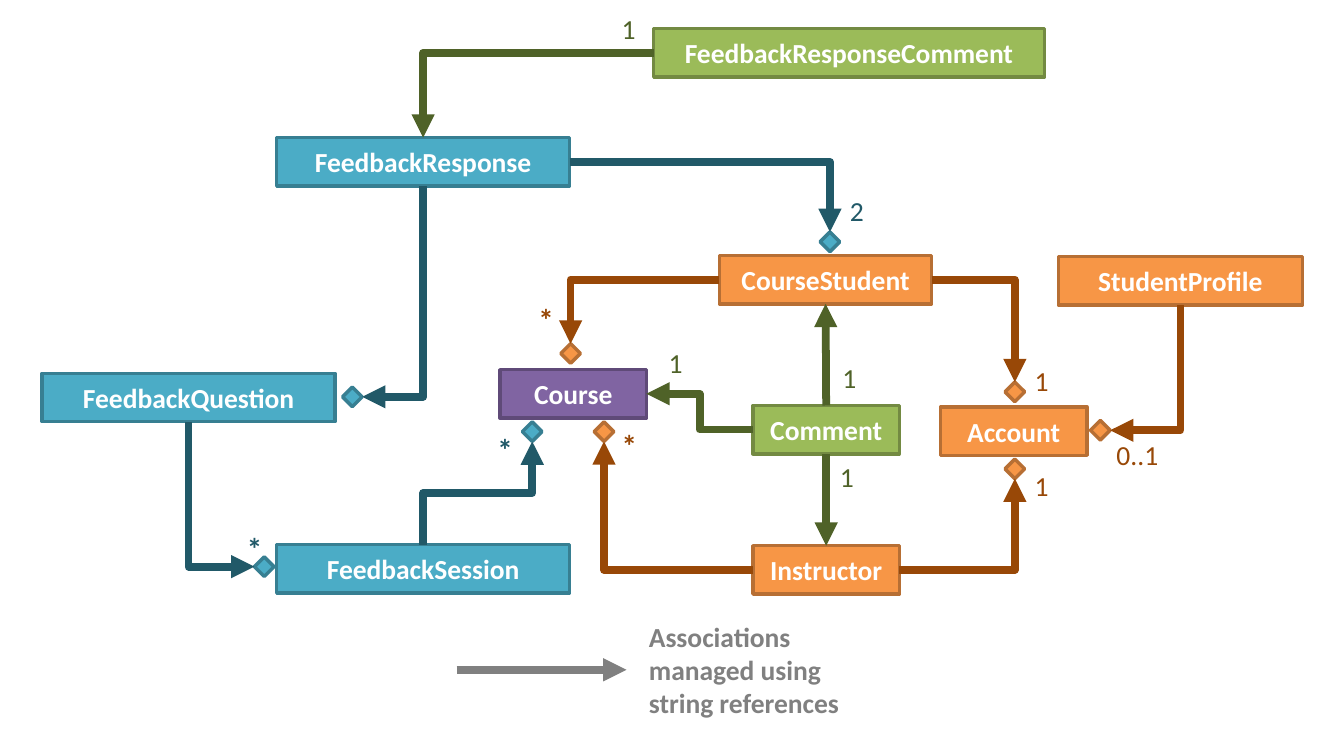
from lxml import etree
from pptx import Presentation
from pptx.dml.color import RGBColor
from pptx.enum.shapes import MSO_CONNECTOR, MSO_SHAPE
from pptx.enum.text import MSO_ANCHOR, PP_ALIGN
from pptx.oxml.ns import qn
from pptx.util import Pt

RECT, DIAMOND = MSO_SHAPE.RECTANGLE, MSO_SHAPE.DIAMOND
STRAIGHT, ELBOW = MSO_CONNECTOR.STRAIGHT, MSO_CONNECTOR.ELBOW
MIDDLE = MSO_ANCHOR.MIDDLE
LEFT, CENTER = PP_ALIGN.LEFT, PP_ALIGN.CENTER
SITE_TOP, SITE_LEFT, SITE_BOTTOM, SITE_RIGHT = range(4)

WHITE = RGBColor(0xFF, 0xFF, 0xFF)
GRAY = RGBColor(0x80, 0x80, 0x80)
ORANGE = RGBColor(0xF7, 0x96, 0x46)
ORANGE_EDGE = RGBColor(0xB7, 0x6F, 0x34)
ORANGE_DARK = RGBColor(0x98, 0x48, 0x07)
BLUE = RGBColor(0x4B, 0xAC, 0xC6)
BLUE_EDGE = RGBColor(0x37, 0x7F, 0x92)
BLUE_DARK = RGBColor(0x21, 0x59, 0x68)
GREEN = RGBColor(0x9B, 0xBB, 0x59)
GREEN_EDGE = RGBColor(0x73, 0x8A, 0x42)
GREEN_DARK = RGBColor(0x4F, 0x62, 0x28)
PURPLE = RGBColor(0x80, 0x64, 0xA2)
PURPLE_EDGE = RGBColor(0x5F, 0x4A, 0x78)

FONT = "Calibri"
BOX_H = 28.1
DIAMOND_SIZE = 11.4

ENTITIES = [
    ("CourseStudent", 417.6, 148.3, 123.1, ORANGE, ORANGE_EDGE),
    ("Course", 290.2, 214.6, 85, PURPLE, PURPLE_EDGE),
    ("Account", 545.8, 236.2, 85, ORANGE, ORANGE_EDGE),
    ("FeedbackSession", 160.6, 316.1, 170, BLUE, BLUE_EDGE),
    ("FeedbackQuestion", 24.5, 216.7, 170, BLUE, BLUE_EDGE),
    ("FeedbackResponse", 160.6, 79.9, 170, BLUE, BLUE_EDGE),
    ("Comment", 437, 235.4, 85, GREEN, GREEN_EDGE),
    ("FeedbackResponseComment", 379.4, 16.6, 226.8, GREEN, GREEN_EDGE),
    ("StudentProfile", 614.2, 149, 141.8, ORANGE, ORANGE_EDGE),
    ("Instructor", 437, 316.8, 85, ORANGE, ORANGE_EDGE),
]

DIAMONDS = [
    ("student-course", 331.2, 205.2, ORANGE, ORANGE_EDGE),
    ("instructor-course", 350.6, 250.6, ORANGE, ORANGE_EDGE),
    ("session-course", 308.9, 250.6, BLUE, BLUE_EDGE),
    ("student-account", 589, 227.5, ORANGE, ORANGE_EDGE),
    ("instructor-account", 589, 272.2, ORANGE, ORANGE_EDGE),
    ("profile-account", 638.6, 249.8, ORANGE, ORANGE_EDGE),
    ("question-session", 153.4, 329, BLUE, BLUE_EDGE),
    ("response-question", 204.5, 230.4, BLUE, BLUE_EDGE),
    ("response-student", 481.7, 140.4, BLUE, BLUE_EDGE),
]

CORNERS_TO_TARGET = [
    ("FeedbackResponseComment", SITE_LEFT, "FeedbackResponse", SITE_TOP, GREEN_DARK),
    ("FeedbackResponse", SITE_RIGHT, "response-student", SITE_TOP, BLUE_DARK),
    ("CourseStudent", SITE_LEFT, "student-course", SITE_TOP, ORANGE_DARK),
    ("CourseStudent", SITE_RIGHT, "student-account", SITE_TOP, ORANGE_DARK),
    ("Instructor", SITE_LEFT, "instructor-course", SITE_BOTTOM, ORANGE_DARK),
    ("Instructor", SITE_RIGHT, "instructor-account", SITE_BOTTOM, ORANGE_DARK),
]

CORNERS_FROM_TARGET = [
    ("response-question", SITE_RIGHT, "FeedbackResponse", SITE_BOTTOM, BLUE_DARK),
    ("question-session", SITE_LEFT, "FeedbackQuestion", SITE_BOTTOM, BLUE_DARK),
    ("profile-account", SITE_RIGHT, "StudentProfile", SITE_BOTTOM, ORANGE_DARK),
]

STRAIGHT_LINKS = [
    ("Comment", SITE_TOP, "CourseStudent", SITE_BOTTOM, GREEN_DARK),
    ("Comment", SITE_BOTTOM, "Instructor", SITE_TOP, GREEN_DARK),
]

MULTIPLICITIES = [
    ("1", 360.7, 8.6, GREEN_DARK),
    ("2", 493.2, 114.5, BLUE_DARK),
    ("*", 312.5, 177.1, ORANGE_DARK),
    ("1", 388.1, 202.3, GREEN_DARK),
    ("1", 488.9, 211.3, GREEN_DARK),
    ("1", 487.4, 268.6, GREEN_DARK),
    ("*", 360.7, 250.6, ORANGE_DARK),
    ("*", 288.7, 252.7, BLUE_DARK),
    ("*", 143.3, 310.3, BLUE_DARK),
    ("1", 600.5, 213.1, ORANGE_DARK),
    ("1", 600.5, 273.6, ORANGE_DARK),
    ("0..1", 648, 255.6, ORANGE_DARK),
]


def write_text(s, text, color, size=16, bold=False, align=LEFT):
    tf = s.text_frame
    tf.word_wrap = True
    tf.vertical_anchor = MIDDLE
    tf.margin_left = tf.margin_right = tf.margin_top = tf.margin_bottom = 0
    p = tf.paragraphs[0]
    p.alignment = align
    r = p.add_run()
    r.text = text
    r.font.name = FONT
    r.font.size = Pt(size)
    r.font.bold = bold
    r.font.color.rgb = color


def add_filled(shapes, kind, x, y, w, h, fill, edge):
    s = shapes.add_shape(kind, Pt(x), Pt(y), Pt(w), Pt(h))
    s.shadow.inherit = False
    s.fill.solid()
    s.fill.fore_color.rgb = fill
    s.line.color.rgb = edge
    s.line.width = Pt(2)
    return s


def add_entity(shapes, name, x, y, w, fill, edge):
    s = add_filled(shapes, RECT, x, y, w, BOX_H, fill, edge)
    write_text(s, name, WHITE, bold=True, align=CENTER)
    return s


def add_diamond(shapes, cx, cy, fill, edge):
    half = DIAMOND_SIZE / 2
    return add_filled(shapes, DIAMOND, cx - half, cy - half,
                      DIAMOND_SIZE, DIAMOND_SIZE, fill, edge)


def add_label(shapes, text, x, y, w, h, color, **fmt):
    s = shapes.add_textbox(Pt(x), Pt(y), Pt(w), Pt(h))
    write_text(s, text, color, **fmt)


def add_arrow(shapes, kind, color, points=(0, 0, 0, 0), arrow="tailEnd"):
    cxn = shapes.add_connector(kind, *[Pt(v) for v in points])
    cxn.line.color.rgb = color
    cxn.line.width = Pt(4.5)
    sp_pr = cxn._element.spPr
    etree.SubElement(sp_pr.find(qn("a:ln")), qn("a:" + arrow), type="triangle")
    etree.SubElement(sp_pr, qn("a:effectLst"))
    return cxn


def link(shapes, nodes, begin, begin_site, end, end_site, color,
         kind=ELBOW, corner=False, arrow="tailEnd"):
    cxn = add_arrow(shapes, kind, color, arrow=arrow)
    cxn.begin_connect(nodes[begin], begin_site)
    cxn.end_connect(nodes[end], end_site)
    if corner:
        cxn._element.spPr.find(qn("a:prstGeom")).set("prst", "bentConnector2")
    return cxn


def turn_quarter(cxn):
    w, h = cxn.width, cxn.height
    cxn.left += (w - h) // 2
    cxn.top += (h - w) // 2
    cxn.width, cxn.height = h, w
    xfrm = cxn._element.spPr.find(qn("a:xfrm"))
    xfrm.attrib.pop("flipH", None)
    xfrm.set("rot", "5400000")


def main():
    prs = Presentation()
    prs.slide_width, prs.slide_height = Pt(780), Pt(425.5)
    shapes = prs.slides.add_slide(prs.slide_layouts[6]).shapes

    nodes = {}
    for name, *look in ENTITIES:
        nodes[name] = add_entity(shapes, name, *look)
    for name, *look in DIAMONDS:
        nodes[name] = add_diamond(shapes, *look)

    for ends in CORNERS_TO_TARGET:
        link(shapes, nodes, *ends, corner=True)
    for ends in CORNERS_FROM_TARGET:
        link(shapes, nodes, *ends, corner=True, arrow="headEnd")
    for ends in STRAIGHT_LINKS:
        link(shapes, nodes, *ends, kind=STRAIGHT)
    link(shapes, nodes, "Comment", SITE_LEFT, "Course", SITE_RIGHT, GREEN_DARK)
    turn_quarter(link(shapes, nodes, "session-course", SITE_BOTTOM,
                      "FeedbackSession", SITE_TOP, BLUE_DARK, arrow="headEnd"))

    for text, x, y, color in MULTIPLICITIES:
        star = text == "*"
        add_label(shapes, text, x, y, 10 + 8 * len(text), 16, color,
                  size=18 if star else 16, bold=star)

    add_arrow(shapes, STRAIGHT, GRAY, points=(265, 388.8, 363.6, 388.8))
    add_label(shapes, "Associations managed using string references",
              376.6, 359.5, 123.1, 58.6, GRAY, bold=True)
    prs.save("out.pptx")


if __name__ == "__main__":
    main()
